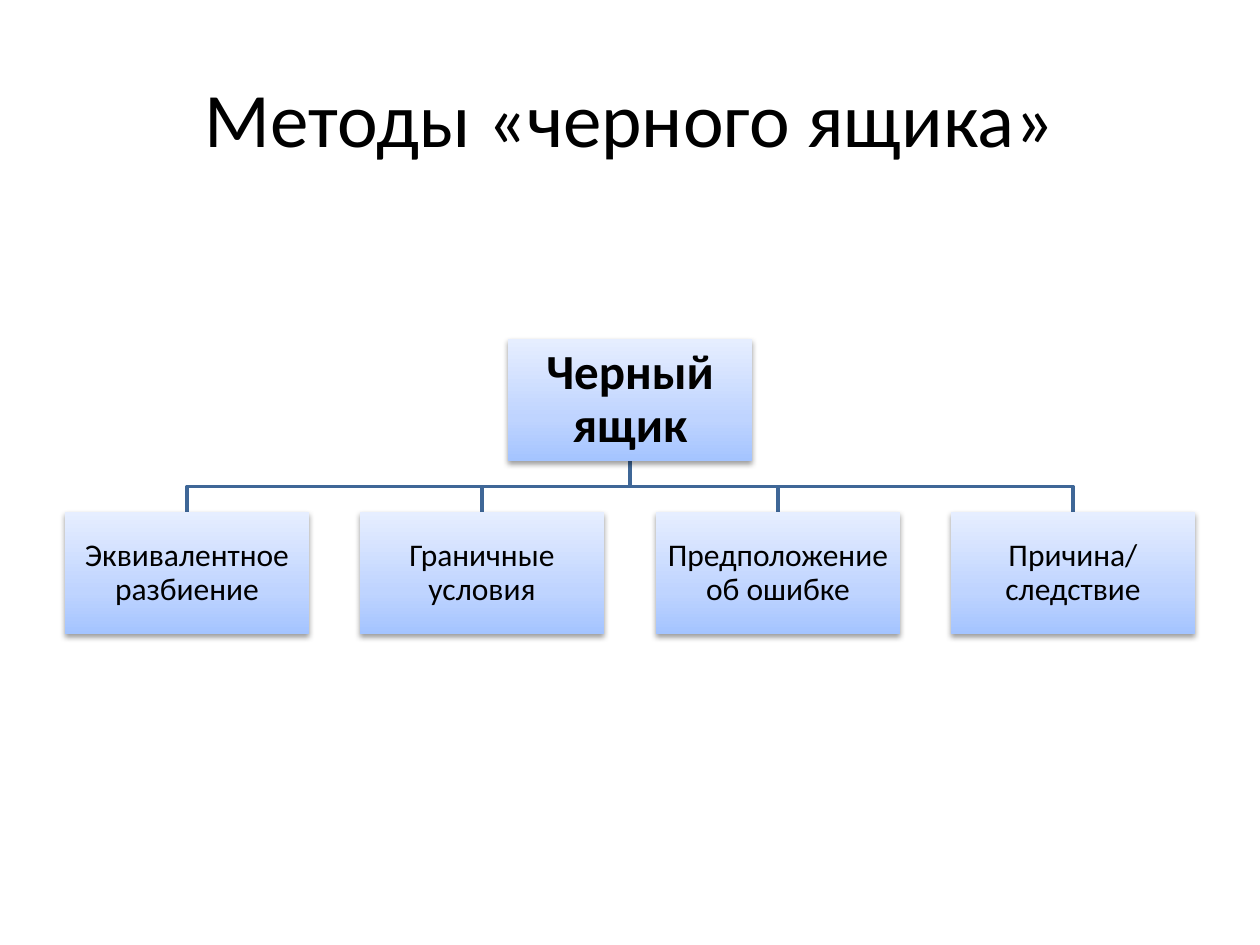
from lxml import etree
from pptx import Presentation
from pptx.dml.color import RGBColor
from pptx.enum.shapes import MSO_SHAPE as Shape
from pptx.enum.text import MSO_ANCHOR as Anchor, PP_ALIGN as Align
from pptx.oxml import parse_xml
from pptx.oxml.ns import qn
from pptx.util import Emu, Pt

EMU_PER_PX = 914400 / 126
COLORS = {
    "text": "000000",
    "line": "3F6797",
    "bottom": "A4C4FF",
    "middle": "BFD4FF",
    "top": "E6EEFF",
    "shadow": "000000",
}
DRAWING = 'xmlns:a="http://schemas.openxmlformats.org/drawingml/2006/main"'
FONT = "Calibri"
BOX_WIDTH, BOX_HEIGHT = 244, 122
ROOT_LEFT, ROOT_TOP = 508, 339
FIRST_LEFT, LAST_LEFT, METHOD_TOP = 65, 951, 512
METHODS = [
    "Эквивалентное разбиение",
    "Граничные условия",
    "Предположение об ошибке",
    "Причина/ следствие",
]


def px(length):
    return Emu(round(length * EMU_PER_PX))


def color(name):
    return RGBColor.from_string(COLORS[name])


def write_text(shape, text, size, bold=False, inset=1, line_spacing=0.9):
    frame = shape.text_frame
    frame.word_wrap = True
    frame.vertical_anchor = Anchor.MIDDLE
    frame.margin_left = frame.margin_right = px(inset)
    frame.margin_top = frame.margin_bottom = px(inset)
    paragraph = frame.paragraphs[0]
    paragraph.text = text
    paragraph.alignment = Align.CENTER
    paragraph.line_spacing = line_spacing
    paragraph.font.name = FONT
    paragraph.font.size = Pt(size)
    paragraph.font.bold = bold
    paragraph.font.color.rgb = color("text")


def add_title(slide, text):
    title = slide.shapes.add_textbox(px(63), px(38), px(1134), px(157))
    write_text(title, text, 44, inset=6, line_spacing=1)


def style_box(box):
    stops = "".join(
        f'<a:gs pos="{position * 1000}"><a:srgbClr val="{COLORS[name]}"/></a:gs>'
        for position, name in [(0, "bottom"), (35, "middle"), (100, "top")]
    )
    gradient = (
        f'<a:gradFill {DRAWING} rotWithShape="1"><a:gsLst>{stops}</a:gsLst>'
        '<a:lin ang="16200000" scaled="0"/></a:gradFill>'
    )
    outline = f"<a:ln {DRAWING}><a:noFill/></a:ln>"
    shadow = (
        f'<a:effectLst {DRAWING}><a:outerShdw blurRad="40000" dist="20000" '
        f'dir="5400000" rotWithShape="0"><a:srgbClr val="{COLORS["shadow"]}">'
        '<a:alpha val="38000"/></a:srgbClr></a:outerShdw></a:effectLst>'
    )
    properties = box.element.spPr
    for markup in (gradient, outline, shadow):
        properties.append(parse_xml(markup))


def add_box(slide, left, top, text, size, bold=False):
    box = slide.shapes.add_shape(
        Shape.RECTANGLE, px(left), px(top), px(BOX_WIDTH), px(BOX_HEIGHT)
    )
    style_box(box)
    write_text(box, text, size, bold)


def add_branch(slide, start, end):
    middle = (start[1] + end[1]) / 2
    points = [(start[0], middle), (end[0], middle), end]
    builder = slide.shapes.build_freeform(px(start[0]), px(start[1]))
    builder.add_line_segments([(px(x), px(y)) for x, y in points], close=False)
    branch = builder.convert_to_shape()
    branch.fill.background()
    branch.line.color.rgb = color("line")
    branch.line.width = Pt(2)
    etree.SubElement(branch.element.spPr, qn("a:effectLst"))


def main():
    presentation = Presentation()
    presentation.slide_width, presentation.slide_height = px(1260), px(945)
    slide = presentation.slides.add_slide(presentation.slide_layouts[6])
    add_title(slide, "Методы «черного ящика»")

    pitch = (LAST_LEFT - FIRST_LEFT) / (len(METHODS) - 1)
    lefts = [FIRST_LEFT + round(index * pitch) for index in range(len(METHODS))]
    root_bottom = (ROOT_LEFT + BOX_WIDTH // 2, ROOT_TOP + BOX_HEIGHT)
    for left in reversed(lefts):
        add_branch(slide, root_bottom, (left + BOX_WIDTH // 2, METHOD_TOP))

    add_box(slide, ROOT_LEFT, ROOT_TOP, "Черный ящик", 28, bold=True)
    for left, method in zip(lefts, METHODS):
        add_box(slide, left, METHOD_TOP, method, 18)

    presentation.save("out.pptx")


if __name__ == "__main__":
    main()
